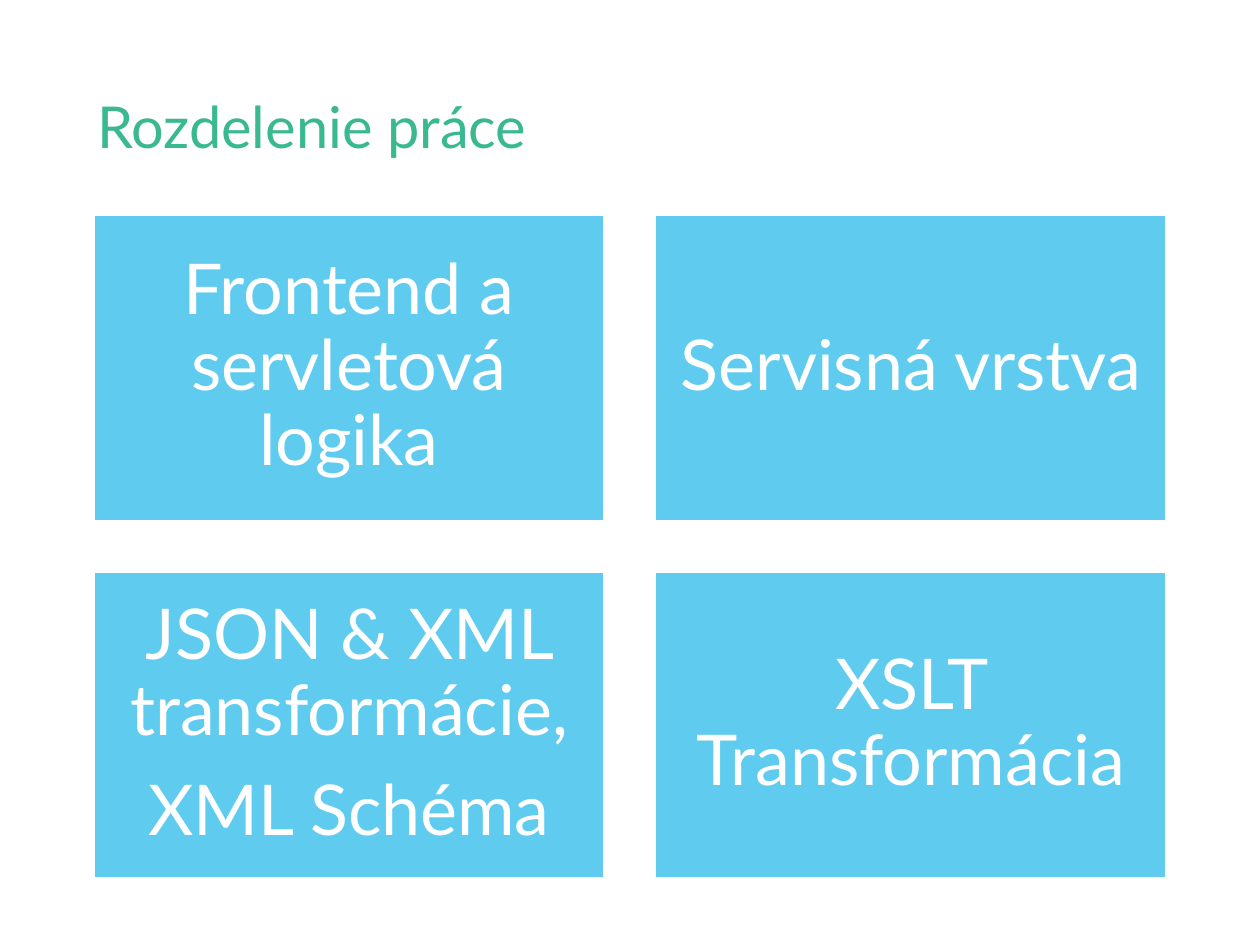
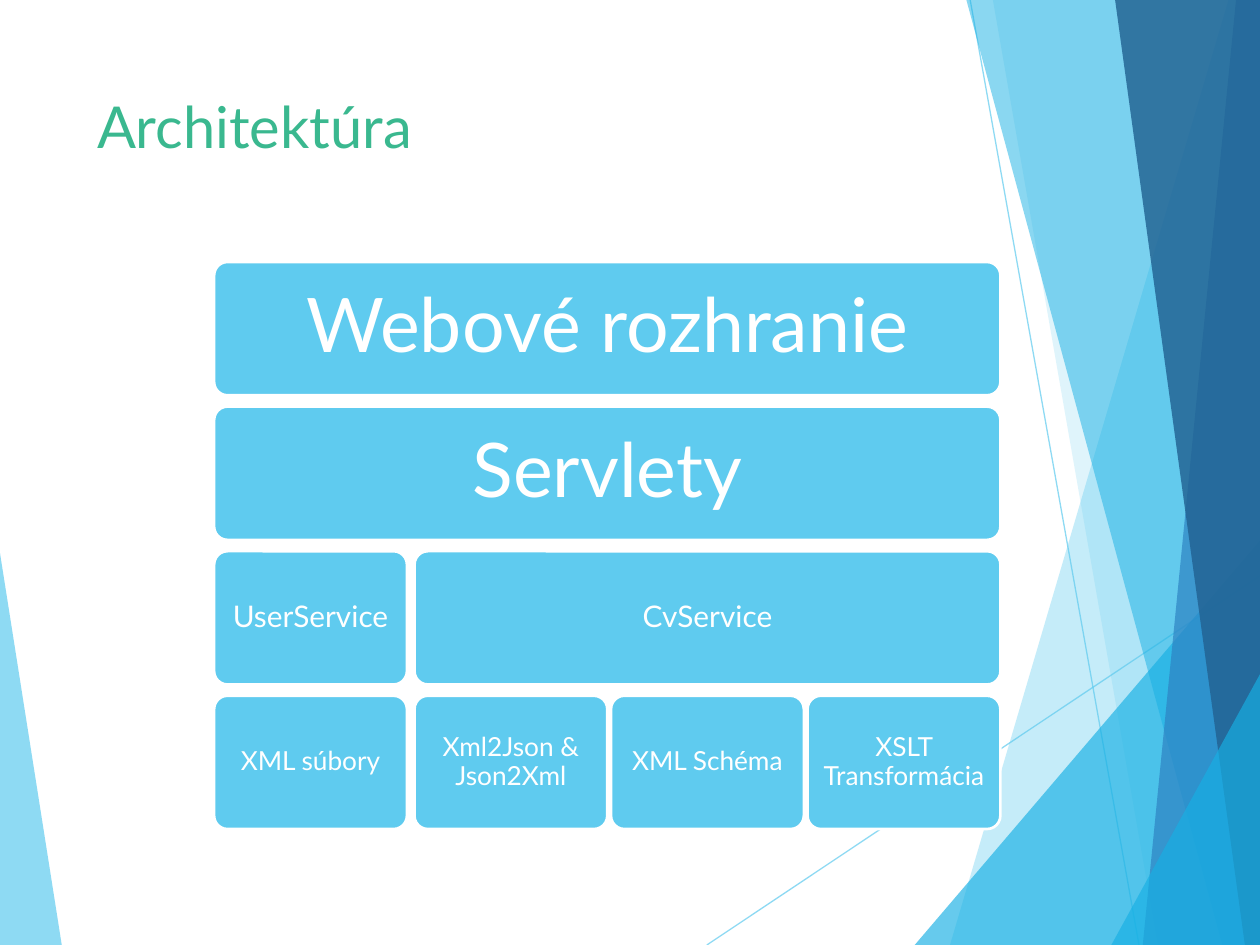
import pptx
import pptx.util
import pptx.dml.color
import pptx.enum.shapes
import pptx.enum.text
import pptx.oxml.ns
from lxml import etree

Inches = pptx.util.Inches
Pt = pptx.util.Pt
MSO_SHAPE = pptx.enum.shapes.MSO_SHAPE
PP_ALIGN = pptx.enum.text.PP_ALIGN
MSO_ANCHOR = pptx.enum.text.MSO_ANCHOR
qn = pptx.oxml.ns.qn

COLORS = {
    "title": "3AB88F",
    "sky": "5FCBEF",
    "cyan": "17B0E4",
    "blue": "2E83C3",
    "navy": "226292",
    "white": "FFFFFF",
}
FONT = "Lato"
SLIDE_W, SLIDE_H = 10, 7.5
TITLE_BOX = (0.67, 0.67, 6.94, 1.44)

WORK_PARTS = [
    "Frontend a servletová logika",
    "Servisná vrstva",
    "JSON & XML transformácie,\nXML Schéma",
    "XSLT Transformácia",
]

LAYERS = [
    (43, 0.18, [("Webové rozhranie", 0, 4)]),
    (43, 0.18, [("Servlety", 0, 4)]),
    (17, 0.07, [("UserService", 0, 1), ("CvService", 1, 3)]),
    (15, 0.06, [("XML súbory", 0, 1), ("Xml2Json & Json2Xml", 1, 1),
                ("XML Schéma", 2, 1), ("XSLT Transformácia", 3, 1)]),
]

LEFT_FACET = ("sky", 70, [(0, 4.39), (0.49, 7.5), (0, 7.5)])
RAYS = [((5.61, 7.5), (10, 4.57)), ((7.7, 0), (9.04, 7.5))]
RIGHT_FACETS = [
    ("sky", 36, [(9.75, 0), (7.54, 7.5), (10, 7.5), (10, 0)]),
    ("sky", 20, [(7.88, 0), (9.19, 7.5), (10, 7.5), (10, 0)]),
    ("cyan", 66, [(7.26, 7.5), (10, 4.29), (10, 7.5)]),
    ("cyan", 50, [(7.67, 0), (9.7, 7.5), (10, 7.5), (10, 0)]),
    ("blue", 70, [(9.81, 0), (9.07, 7.5), (10, 7.5), (10, 0)]),
    ("navy", 82, [(8.85, 0), (9.88, 7.5), (10, 7.5), (10, 0)]),
    ("cyan", 66, [(8.82, 7.5), (10, 5.35), (10, 7.5)]),
]


def rgb(name):
    return pptx.dml.color.RGBColor.from_string(COLORS[name])


def set_alpha(sp, percent):
    color = next(sp._element.spPr.iter(qn("a:srgbClr")))
    etree.SubElement(color, qn("a:alpha")).set("val", str(percent * 1000))


def style_runs(tf, size, color):
    for p in tf.paragraphs:
        for r in p.runs:
            r.font.name = FONT
            r.font.size = Pt(size)
            r.font.color.rgb = rgb(color)


def add_title(s, text):
    sp = s.shapes.title
    sp.left, sp.top, sp.width, sp.height = map(Inches, TITLE_BOX)
    tf = sp.text_frame
    tf.text = text
    tf.vertical_anchor = MSO_ANCHOR.TOP
    tf.paragraphs[0].alignment = PP_ALIGN.LEFT
    style_runs(tf, 33, "title")


def add_block(s, box, text, size, inset, kind=MSO_SHAPE.RECTANGLE):
    sp = s.shapes.add_shape(kind, *map(Inches, box))
    sp.shadow.inherit = False
    sp.fill.solid()
    sp.fill.fore_color.rgb = rgb("sky")
    sp.line.color.rgb = rgb("white")
    sp.line.width = Pt(1.5)
    tf = sp.text_frame
    tf.text = text
    tf.word_wrap = True
    tf.vertical_anchor = MSO_ANCHOR.MIDDLE
    tf.margin_left = tf.margin_right = Inches(inset)
    tf.margin_top = tf.margin_bottom = Inches(inset)
    for p in tf.paragraphs:
        p.alignment = PP_ALIGN.CENTER
        p.line_spacing = 0.9
        p.space_after = Pt(round(size * 0.35))
    style_runs(tf, size, "white")
    return sp


def add_facet(s, color, alpha, points):
    corners = [(Inches(x), Inches(y)) for x, y in points]
    builder = s.shapes.build_freeform(*corners[0])
    builder.add_line_segments(corners[1:], close=True)
    sp = builder.convert_to_shape()
    sp.shadow.inherit = False
    sp.fill.solid()
    sp.fill.fore_color.rgb = rgb(color)
    set_alpha(sp, alpha)
    sp.line.fill.background()


def add_ray(s, start, end):
    line = s.shapes.add_connector(
        pptx.enum.shapes.MSO_CONNECTOR.STRAIGHT, *map(Inches, start + end))
    line.line.color.rgb = rgb("sky")
    line.line.width = Pt(0.75)
    set_alpha(line, 70)
    etree.SubElement(line._element.spPr, qn("a:effectLst"))


def add_facet_backdrop(s):
    add_facet(s, *LEFT_FACET)
    for start, end in RAYS:
        add_ray(s, start, end)
    for facet in RIGHT_FACETS:
        add_facet(s, *facet)


def add_work_grid(s, box, gap=0.4):
    left, top, width, height = box
    w, h = (width - gap) / 2, (height - gap) / 2
    for i, text in enumerate(WORK_PARTS):
        row, col = divmod(i, 2)
        cell = (left + col * (w + gap), top + row * (h + gap), w, h)
        add_block(s, cell, text, 40, 0.17)


def add_layer_stack(s, box, row_gap=0.09, col_gap=0.03, branch_gap=0.06):
    left, top, width, height = box
    h = (height - row_gap * (len(LAYERS) - 1)) / len(LAYERS)
    w = (width - branch_gap - 2 * col_gap) / 4
    starts = [0] + [w + branch_gap + i * (w + col_gap) for i in range(3)]
    for row, (size, inset, blocks) in enumerate(LAYERS):
        y = top + row * (h + row_gap)
        for text, col, span in blocks:
            block_w = starts[col + span - 1] + w - starts[col]
            sp = add_block(s, (left + starts[col], y, block_w, h), text, size,
                           inset, MSO_SHAPE.ROUNDED_RECTANGLE)
            sp.adjustments[0] = 0.1


def build_work_slide(prs):
    s = prs.slides.add_slide(prs.slide_layouts[5])
    add_title(s, "Rozdelenie práce")
    add_work_grid(s, (0.74, 1.7, 8.52, 5.27))


def build_architecture_slide(prs):
    s = prs.slides.add_slide(prs.slide_layouts[5])
    add_facet_backdrop(s)
    add_title(s, "Architektúra")
    add_layer_stack(s, (1.7, 2.08, 6.24, 4.5))


def main():
    prs = pptx.Presentation()
    prs.slide_width, prs.slide_height = Inches(SLIDE_W), Inches(SLIDE_H)
    build_work_slide(prs)
    build_architecture_slide(prs)
    prs.save("out.pptx")


if __name__ == "__main__":
    main()
